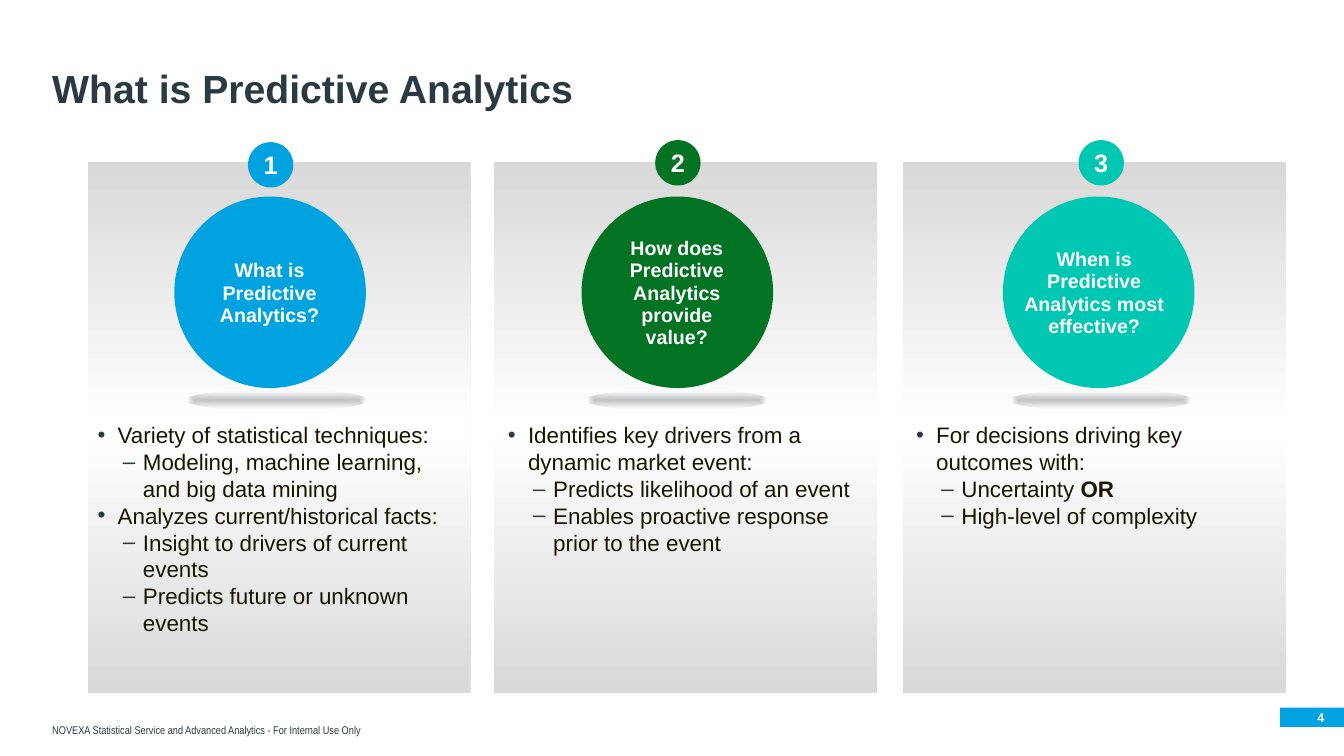
from dataclasses import dataclass
from lxml.etree import SubElement
from pptx import Presentation
from pptx.dml.color import RGBColor
from pptx.enum.shapes import MSO_SHAPE
from pptx.enum.text import MSO_ANCHOR, PP_ALIGN
from pptx.oxml.ns import qn
from pptx.util import Pt


@dataclass(frozen=True)
class Theme:
    """Colours, fonts and type sizes of the slide."""
    ink: str = "2B3A42"
    text: str = "1A1500"
    white: str = "FFFFFF"
    grey: str = "D9D9D9"
    blue: str = "00A3E0"
    green: str = "027223"
    teal: str = "00C7B1"
    face: str = "Arial"
    slim: str = "Arial Narrow"
    title: int = 28
    badge: int = 18
    body: int = 16
    label: int = 14
    page: int = 9
    foot: int = 8


@dataclass(frozen=True)
class Column:
    """Content, colour and left edges of one column."""
    fill: str
    panel: float
    ball: float
    shade: float
    badge: tuple
    label: tuple
    body: tuple
    ask: str
    items: tuple


THEME = Theme()

COLUMNS = (
    Column(THEME.blue, 62.64, 124.56, 132.48, (177.12, 101.5), (136.4, 112.4),
           (62.64, 268.56), "What is Predictive Analytics?",
           ((0, "Variety of statistical techniques:"),
            (1, "Modeling, machine learning, and big data mining"),
            (0, "Analyzes current/historical facts:"),
            (1, "Insight to drivers of current events"),
            (1, "Predicts future or unknown events"))),
    Column(THEME.green, 352.8, 415.44, 418.32, (468, 100.1), (427.3, 112.4),
           (355.68, 262.8), "How does Predictive Analytics provide value?",
           ((0, "Identifies key drivers from a dynamic market event:"),
            (1, "Predicts likelihood of an event"),
            (1, "Enables proactive response prior to the event"))),
    Column(THEME.teal, 645.12, 716.4, 721.44, (770.4, 100.1), (723.6, 116),
           (647.28, 269.28), "When is Predictive Analytics most effective?",
           ((0, "For decisions driving key outcomes with:"),
            (1, "Uncertainty ", "OR"),
            (1, "High-level of complexity"))),
)


def apply(item, values):
    """Set each named value on an object."""
    for name, value in values.items():
        setattr(item, name, value)


def add_run(para, text, size, color, bold=False, face=THEME.face):
    """Append one styled run to a paragraph."""
    run = para.add_run()
    run.text = text
    apply(run.font, {"name": face, "size": Pt(size), "bold": bold})
    run.font.color.rgb = RGBColor.from_string(color)


def add_shape(slide, kind, box, fill=None):
    """Add a flat shape without outline."""
    shape = slide.shapes.add_shape(kind, *map(Pt, box))
    shape.shadow.inherit = False
    shape.line.fill.background()
    if fill:
        shape.fill.solid()
        shape.fill.fore_color.rgb = RGBColor.from_string(fill)
    else:
        shape.fill.background()
    return shape


def add_fade(shape, stops, angle=None):
    """Give a shape a linear fade, or a central one without an angle."""
    props = shape._element.spPr
    grad = SubElement(props, qn("a:gradFill"), rotWithShape="1")
    props.replace(props.find(qn("a:noFill")), grad)
    group = SubElement(grad, qn("a:gsLst"))
    for place, color, alpha in stops:
        stop = SubElement(group, qn("a:gs"), pos=str(place * 1000))
        tint = SubElement(stop, qn("a:srgbClr"), val=color)
        if alpha < 100:
            SubElement(tint, qn("a:alpha"), val=str(alpha * 1000))
    if angle is None:
        way = SubElement(grad, qn("a:path"), path="shape")
        SubElement(way, qn("a:fillToRect"), l="50000", t="50000", r="50000", b="50000")
    else:
        SubElement(grad, qn("a:lin"), ang=str(angle * 60000), scaled="0")


def add_box(slide, box):
    """Add a wrapping text box and return its frame."""
    frame = slide.shapes.add_textbox(*map(Pt, box)).text_frame
    frame.word_wrap = True
    return frame


def write(frame, text, size, color, bold=True, face=THEME.face,
          anchor=MSO_ANCHOR.MIDDLE, **layout):
    """Write a single paragraph into a frame."""
    frame.vertical_anchor = anchor
    para = frame.paragraphs[0]
    apply(para, layout)
    add_run(para, text, size, color, bold, face)


def add_bullet(para, level):
    """Set the mark and hanging indent of a list paragraph."""
    props = para._p.get_or_add_pPr()
    props.set("marL", str(Pt(14.4 + 18 * level)))
    props.set("indent", str(-Pt(14.4)))
    tint = SubElement(props, qn("a:buClr"))
    SubElement(tint, qn("a:srgbClr"), val=THEME.ink)
    SubElement(props, qn("a:buFont"), typeface=THEME.face)
    SubElement(props, qn("a:buChar"), char="•–"[level])


def add_list(slide, box, items):
    """Add a two-level list; any second text of an item is bold."""
    frame = add_box(slide, box)
    for spot, (level, *texts) in enumerate(items):
        para = frame.add_paragraph() if spot else frame.paragraphs[0]
        add_bullet(para, level)
        for bold, text in enumerate(texts):
            add_run(para, text, THEME.body, THEME.text, bool(bold))


def add_column(slide, number, col):
    """Draw one numbered column."""
    panel = add_shape(slide, MSO_SHAPE.RECTANGLE, (col.panel, 115.92, 273.6, 379.44))
    add_fade(panel, ((0, THEME.grey, 100), (50, THEME.white, 100),
                     (100, THEME.grey, 100)), 270)
    shade = add_shape(slide, MSO_SHAPE.OVAL, (col.shade, 278.64, 130.32, 14.4))
    add_fade(shade, ((0, THEME.ink, 30), (81, THEME.ink, 0)))
    add_shape(slide, MSO_SHAPE.OVAL, (col.ball, 140.4, 136.8, 136.8), col.fill)
    badge = add_shape(slide, MSO_SHAPE.OVAL, (*col.badge, 32.4, 32.4), col.fill)
    badge.text_frame.word_wrap = False
    write(badge.text_frame, str(number), THEME.badge, THEME.white,
          alignment=PP_ALIGN.CENTER)
    left, width = col.label
    write(add_box(slide, (left, 173.52, width, 72)), col.ask, THEME.label,
          THEME.white, alignment=PP_ALIGN.CENTER, line_spacing=0.95)
    left, width = col.body
    add_list(slide, (left, 297.36, width, 162.72), col.items)


def add_frame(slide):
    """Draw the title, footer and page number."""
    write(add_box(slide, (30.24, 23.04, 892.8, 60.48)), "What is Predictive Analytics",
          THEME.title, THEME.ink, anchor=MSO_ANCHOR.BOTTOM, line_spacing=0.9)
    write(add_box(slide, (30.24, 503.28, 717.84, 26.64)),
          "NOVEXA Statistical Service and Advanced Analytics - For Internal Use Only",
          THEME.foot, THEME.ink, False, THEME.slim, MSO_ANCHOR.BOTTOM)
    add_shape(slide, MSO_SHAPE.RECTANGLE, (914.4, 505.44, 45.6, 13.68), THEME.blue)
    page = add_box(slide, (914.4, 505.44, 31.68, 13.68))
    apply(page, {f"margin_{side}": 0 for side in ("left", "top", "right", "bottom")})
    write(page, "4", THEME.page, THEME.white, alignment=PP_ALIGN.RIGHT)


def main():
    """Build and save the slide."""
    deck = Presentation()
    apply(deck, {"slide_width": Pt(960), "slide_height": Pt(540)})
    slide = deck.slides.add_slide(deck.slide_layouts[6])
    add_frame(slide)
    for number, col in enumerate(COLUMNS, 1):
        add_column(slide, number, col)
    deck.save("out.pptx")


if __name__ == "__main__":
    main()
